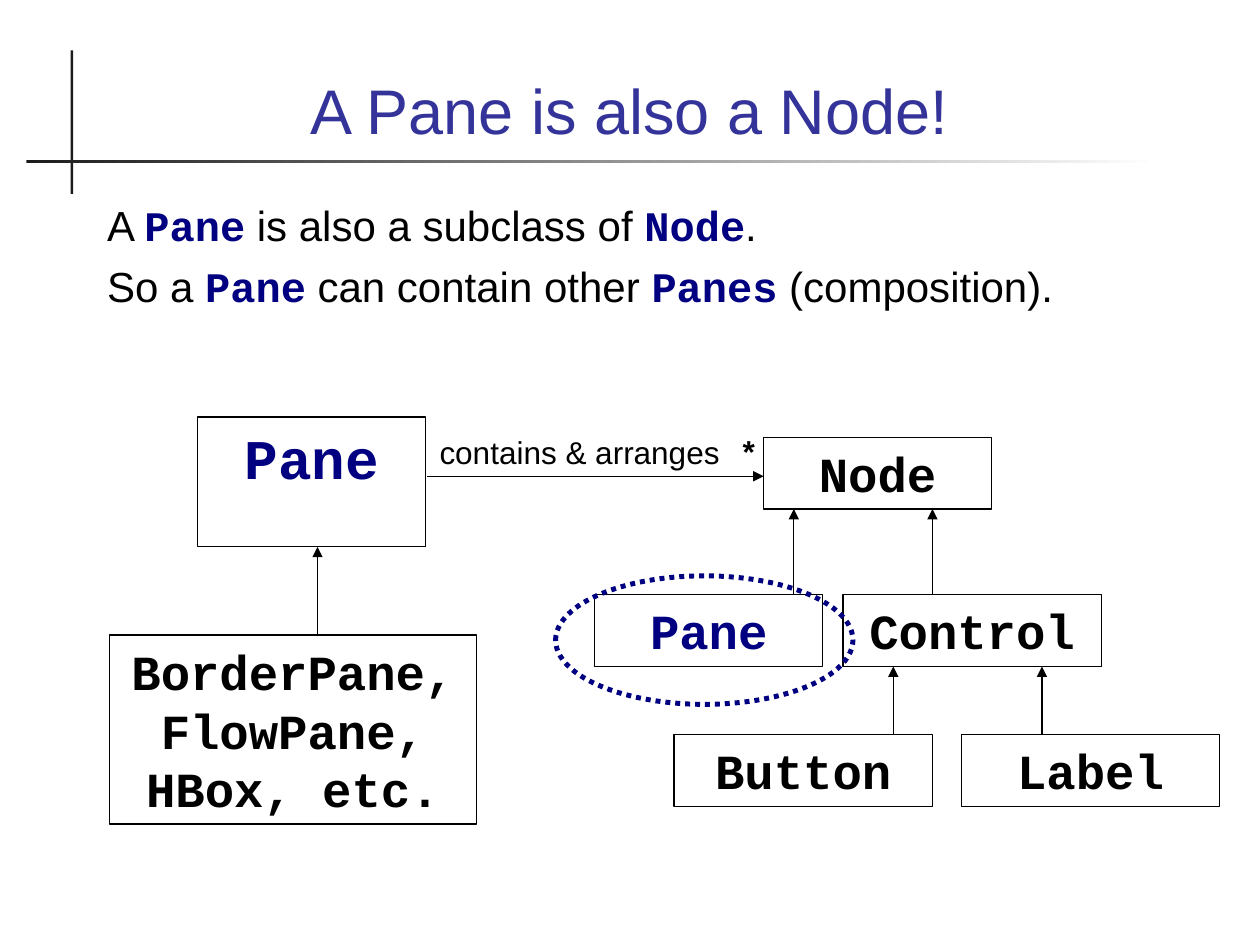
from lxml import etree
from pptx import Presentation
from pptx.dml.color import RGBColor
from pptx.enum.dml import MSO_LINE
from pptx.enum.shapes import MSO_CONNECTOR, MSO_SHAPE
from pptx.enum.text import MSO_ANCHOR, MSO_AUTO_SIZE, PP_ALIGN
from pptx.oxml.ns import qn
from pptx.util import Inches, Pt

RECT, OVAL = MSO_SHAPE.RECTANGLE, MSO_SHAPE.OVAL
STRAIGHT = MSO_CONNECTOR.STRAIGHT
DOTS = MSO_LINE.ROUND_DOT
TOP, BOTTOM = MSO_ANCHOR.TOP, MSO_ANCHOR.BOTTOM
LEFT, CENTER = PP_ALIGN.LEFT, PP_ALIGN.CENTER
FIXED = MSO_AUTO_SIZE.NONE

SANS, MONO = "Arial", "Courier New"
BLACK, NAVY, TITLE, DARK, WHITE = "000000", "000080", "333399", "1C1C1C", "FFFFFF"


def color(code):
    return RGBColor.from_string(code)


def spots(vals):
    return [Inches(v) for v in vals]


class Deck:
    thin = 0.75

    def __init__(self):
        self.prs = Presentation()
        self.prs.slide_width, self.prs.slide_height = Inches(10), Inches(7.5)
        self.slide = self.prs.slides.add_slide(self.prs.slide_layouts[1])
        self.shapes = self.slide.shapes

    def run(self, para, text, size, font=SANS, tint=BLACK, bold=False):
        run = para.add_run()
        run.text = text
        run.font.size, run.font.name, run.font.bold = Pt(size), font, bold
        run.font.color.rgb = color(tint)

    def frame(self, shape, anchor=TOP):
        frame = shape.text_frame
        frame.word_wrap, frame.auto_size = True, FIXED
        frame.vertical_anchor = anchor
        return frame

    def place(self, shape, at):
        shape.left, shape.top, shape.width, shape.height = spots(at)

    def title(self, at, text):
        shape = self.shapes.title
        self.place(shape, at)
        para = self.frame(shape, BOTTOM).paragraphs[0]
        para.alignment = CENTER
        self.run(para, text, 36, tint=TITLE)

    def body(self, at, lines):
        """Every second piece of a line is a class name."""
        shape = self.slide.placeholders[1]
        self.place(shape, at)
        frame = self.frame(shape)
        for i, line in enumerate(lines):
            para = frame.add_paragraph() if i else frame.paragraphs[0]
            props = para._p.get_or_add_pPr()
            props.set("marL", str(Inches(0.38)))
            props.set("indent", str(Inches(-0.37)))
            etree.SubElement(props, qn("a:buNone"))
            para.space_before = Pt(6 if i else 0)
            for j, text in enumerate(line):
                if j % 2:
                    self.run(para, text, 24, MONO, NAVY, True)
                else:
                    self.run(para, text, 24)

    def shape(self, kind, at):
        shape = self.shapes.add_shape(kind, *spots(at))
        shape.shadow.inherit = False
        return shape

    def bar(self, at, fade=False):
        fill = self.shape(RECT, at)
        fill.line.fill.background()
        fill = fill.fill
        if fade:
            fill.gradient()
            fill.gradient_angle = 0
            for stop, code in zip(fill.gradient_stops, (DARK, WHITE)):
                stop.color.rgb = color(code)
        else:
            fill.solid()
            fill.fore_color.rgb = color(DARK)

    def outline(self, kind, at, tint=BLACK, width=thin):
        shape = self.shape(kind, at)
        shape.fill.background()
        shape.line.color.rgb = color(tint)
        shape.line.width = Pt(width)
        return shape

    def box(self, at, lines, tint=BLACK, size=28):
        para = self.frame(self.outline(RECT, at)).paragraphs[0]
        para.alignment = CENTER
        for i, text in enumerate(lines):
            if i:
                para.add_line_break()
            self.run(para, text, size, MONO, tint, True)

    def ring(self, at):
        self.outline(OVAL, at, NAVY, 2.83).line.dash_style = DOTS

    def arrow(self, *ends):
        link = self.shapes.add_connector(STRAIGHT, *spots(ends))
        link.line.color.rgb = color(BLACK)
        link.line.width = Pt(self.thin)
        etree.SubElement(link.line._get_or_add_ln(), qn("a:tailEnd"), type="triangle")
        etree.SubElement(link._element.spPr, qn("a:effectLst"))

    def label(self, at, text, mark, tab):
        para = self.frame(self.shapes.add_textbox(*spots(at))).paragraphs[0]
        props = para._p.get_or_add_pPr()
        tabs = etree.SubElement(props, qn("a:tabLst"))
        etree.SubElement(tabs, qn("a:tab"), pos=str(Inches(tab)), algn="l")
        para.alignment = LEFT
        self.run(para, text + "\t", 18)
        self.run(para, mark, 18, MONO, bold=True)


def main():
    deck = Deck()

    # Crossed rules, title and text
    deck.bar((0.56, 0.4, 0.02, 1.14))
    deck.bar((0.21, 1.27, 8.98, 0.02), fade=True)
    deck.title((0.67, 0.28, 8.65, 0.94), "A Pane is also a Node!")
    deck.body((0.74, 1.53, 8.65, 1.22), [
        ("A ", "Pane", " is also a subclass of ", "Node", "."),
        ("So a ", "Pane", " can contain other ", "Panes", " (composition)."),
    ])

    # Class boxes
    high, slim, wide = 0.57, 1.81, 2.05
    node, mid, low = 3.47, 4.72, 5.83
    deck.box((1.57, 3.31, slim, 1.03), ["Pane"], NAVY, 32)
    deck.box((0.87, 5.04, 2.91, 1.5), ["BorderPane,", "FlowPane,", "HBox, etc."])
    deck.box((6.06, node, slim, high), ["Node"])
    deck.box((4.72, mid, slim, high), ["Pane"], NAVY)
    for name, left, top in (("Control", 6.69, mid), ("Button", 5.35, low),
                            ("Label", 7.63, low)):
        deck.box((left, top, wide, high), [name])

    # Arrows from each subclass up to its parent
    for x, start, end in ((2.52, 5.04, 4.34), (6.3, mid, node + high),
                          (7.4, mid, node + high), (7.09, low, mid + high),
                          (8.27, low, mid + high)):
        deck.arrow(x, start, x, end)

    # Containment link and highlight
    deck.arrow(3.39, 3.78, 6.06, 3.78)
    deck.label((3.39, 3.39, 2.76, 0.7), "contains & arranges", "*", 2.38)
    deck.ring((4.41, 4.57, 2.36, 1.02))

    deck.prs.save("out.pptx")


if __name__ == "__main__":
    main()
